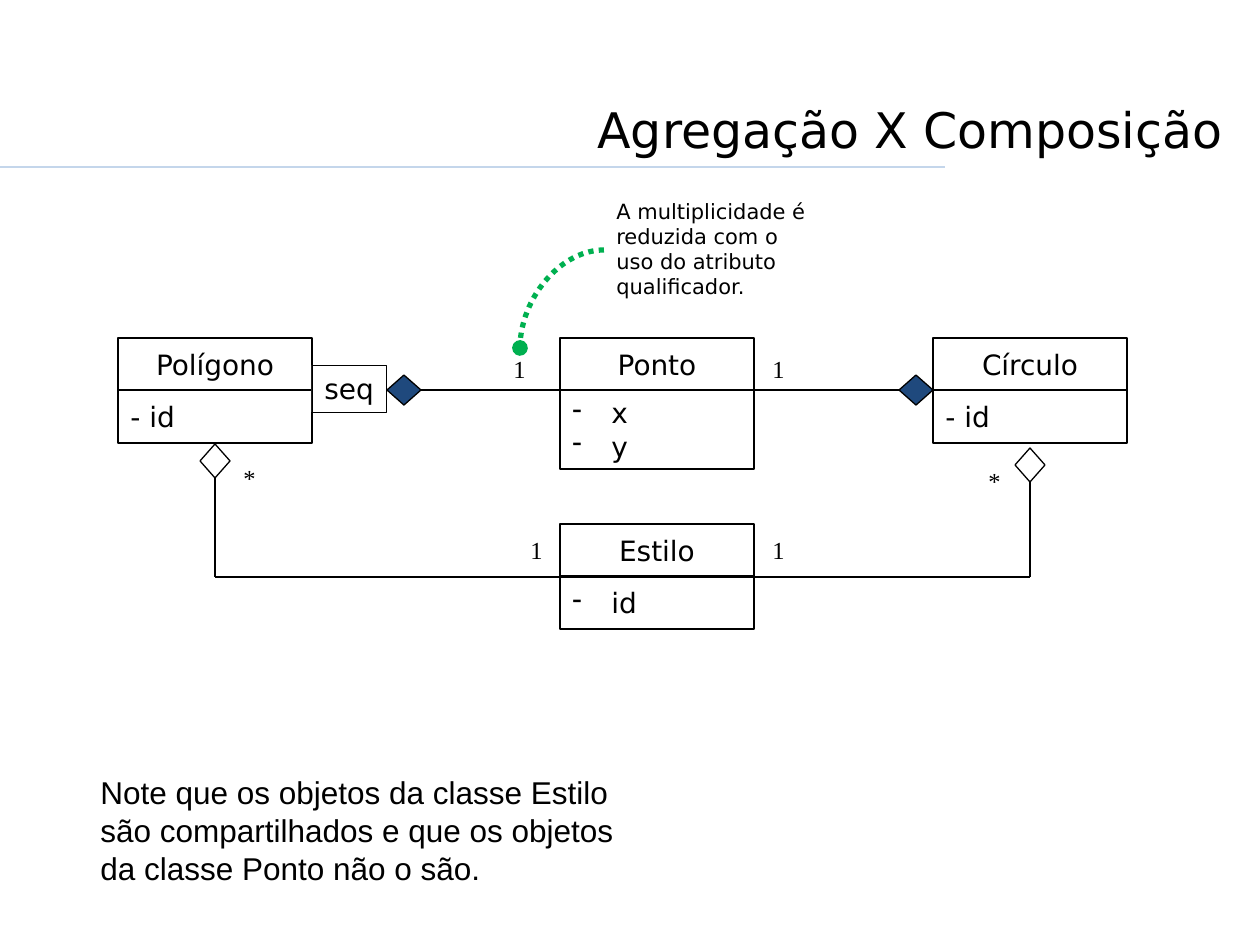
from lxml import etree
from pptx import Presentation, util as u
from pptx.dml.color import RGBColor
from pptx.enum import dml, shapes, text
from pptx.oxml.ns import qn

SCALE = 914400 / 126  # EMU in one px
SANS, SERIF = "DejaVu Sans", "Times New Roman"
BLACK, WHITE, NAVY, GREEN, RULE = "000000", "FFFFFF", "1F497D", "00B050", "C4D6EB"
CLASS_WIDTH, ROW_HEIGHT, BULLET_INDENT = 194, 53, 39


def px(length):
    return u.Emu(round(length * SCALE))


def color(value):
    return RGBColor.from_string(value)


def write(shape, content, size, font=SANS, align=text.PP_ALIGN.LEFT,
          anchor=text.MSO_ANCHOR.TOP, wrap=True, bullet=None):
    frame = shape.text_frame
    frame.text = content
    frame.word_wrap = wrap
    frame.vertical_anchor = anchor
    for paragraph in frame.paragraphs:
        paragraph.alignment = align
        if bullet:
            properties = paragraph._p.get_or_add_pPr()
            properties.set("marL", str(px(BULLET_INDENT)))
            properties.set("indent", str(-px(BULLET_INDENT)))
            etree.SubElement(properties, qn("a:buChar")).set("char", bullet)
        for run in paragraph.runs:
            run.font.name = font
            run.font.size = u.Pt(size)
            run.font.color.rgb = color(BLACK)


def add_box(slide, kind, left, top, width, height, fill=None, line=0.75):
    shape = slide.shapes.add_shape(kind, px(left), px(top), px(width), px(height))
    shape.shadow.inherit = False
    if fill:
        shape.fill.solid()
        shape.fill.fore_color.rgb = color(fill)
    else:
        shape.fill.background()
    shape.line.color.rgb = color(BLACK)
    shape.line.width = u.Pt(line)
    return shape


def add_text(slide, content, left, top, width, height, size, font, wrap=True):
    box = slide.shapes.add_textbox(px(left), px(top), px(width), px(height))
    write(box, content, size, font, wrap=wrap)
    box.text_frame.auto_size = text.MSO_AUTO_SIZE.SHAPE_TO_FIT_TEXT


def add_line(slide, start, end, line=BLACK, width=0.75,
             kind=shapes.MSO_CONNECTOR.STRAIGHT):
    connector = slide.shapes.add_connector(kind, *map(px, start + end))
    connector.line.color.rgb = color(line)
    connector.line.width = u.Pt(width)
    etree.SubElement(connector._element.spPr, qn("a:effectLst"))
    return connector


def add_title(slide, content, left, top, width, height):
    title = slide.shapes.title
    title.left, title.top, title.width, title.height = map(px, (left, top, width, height))
    write(title, content, 28, align=text.PP_ALIGN.RIGHT, anchor=text.MSO_ANCHOR.BOTTOM)
    add_line(slide, (0, 167), (945, 167), RULE)


def add_class(slide, name, attributes, left, top, fill=WHITE, body=ROW_HEIGHT, bullet=None):
    """Class box: name above, attributes below."""
    rectangle = shapes.MSO_SHAPE.RECTANGLE
    header = add_box(slide, rectangle, left, top, CLASS_WIDTH, ROW_HEIGHT, fill)
    write(header, name, 16, align=text.PP_ALIGN.CENTER, anchor=text.MSO_ANCHOR.MIDDLE)
    rows = add_box(slide, rectangle, left, top + ROW_HEIGHT - 1, CLASS_WIDTH, body, fill)
    write(rows, attributes, 16, anchor=text.MSO_ANCHOR.MIDDLE, bullet=bullet)


def add_multiplicity(slide, content, left, top):
    add_text(slide, content, left, top, 38, 43, 14, SERIF, wrap=False)


def add_composition(slide, left, top, site, end_x):
    """Filled diamond with a level line from one of its sides."""
    diamond = add_box(slide, shapes.MSO_SHAPE.DIAMOND, left, top, 34, 30, NAVY)
    line = add_line(slide, (left, top + 15), (end_x, top + 15))
    line.begin_connect(diamond, site)


def add_aggregation(slide, left, top, end_x, end_y):
    """Open diamond with a line down and then across."""
    diamond = add_box(slide, shapes.MSO_SHAPE.DIAMOND, left, top, 30, 34)
    corner = (left + 15, end_y)
    down = add_line(slide, (left + 15, top + 34), corner)
    down.begin_connect(diamond, 2)
    add_line(slide, corner, (end_x, end_y))


def add_callout(slide, content, left, top):
    """Remark with a dotted curve to the multiplicity it explains."""
    add_text(slide, content, left, top, 229, 115, 12, SANS)
    curve = add_line(slide, (left, top + 58), (left - 84, top + 156), GREEN, 3,
                     shapes.MSO_CONNECTOR.CURVE)
    curve._element.spPr.find(qn("a:prstGeom")).set("prst", "curvedConnector2")
    curve.line.dash_style = dml.MSO_LINE.ROUND_DOT
    tail = etree.SubElement(curve.line._get_or_add_ln(), qn("a:tailEnd"))
    tail.set("type", "oval")


def main():
    presentation = Presentation()
    presentation.slide_width, presentation.slide_height = u.Inches(10), u.Inches(7.5)
    slide = presentation.slides.add_slide(presentation.slide_layouts[5])
    add_title(slide, "Agregação X Composição", 23, 34, 1212, 131)

    # Classes and the qualifier
    add_class(slide, "Polígono", "- id", 118, 338)
    add_class(slide, "Círculo", "- id", 933, 338)
    add_class(slide, "Ponto", "x\ny", 560, 338, body=79, bullet="-")
    add_class(slide, "Estilo", "id", 560, 524, fill=None, bullet="-")
    qualifier = add_box(slide, shapes.MSO_SHAPE.RECTANGLE, 312, 365, 74, 47, WHITE, 0.25)
    write(qualifier, "seq", 16, wrap=False)

    # Relations
    add_composition(slide, 387, 375, 3, 560)
    add_composition(slide, 899, 375, 1, 754)
    add_aggregation(slide, 200, 444, 560, 577)
    add_aggregation(slide, 1015, 448, 754, 577)
    for content, left, top in (("1", 501, 348), ("1", 760, 348), ("*", 231, 457),
                               ("*", 976, 460), ("1", 518, 529), ("1", 760, 529)):
        add_multiplicity(slide, content, left, top)

    # Remarks
    add_callout(slide, "A multiplicidade é reduzida com o uso do atributo qualificador.",
                604, 192)
    add_text(slide, "Note que os objetos da classe Estilo são compartilhados e que "
             "os objetos da classe Ponto não o são.", 88, 767, 568, 127, 18, "Arial")
    presentation.save("out.pptx")


if __name__ == "__main__":
    main()
